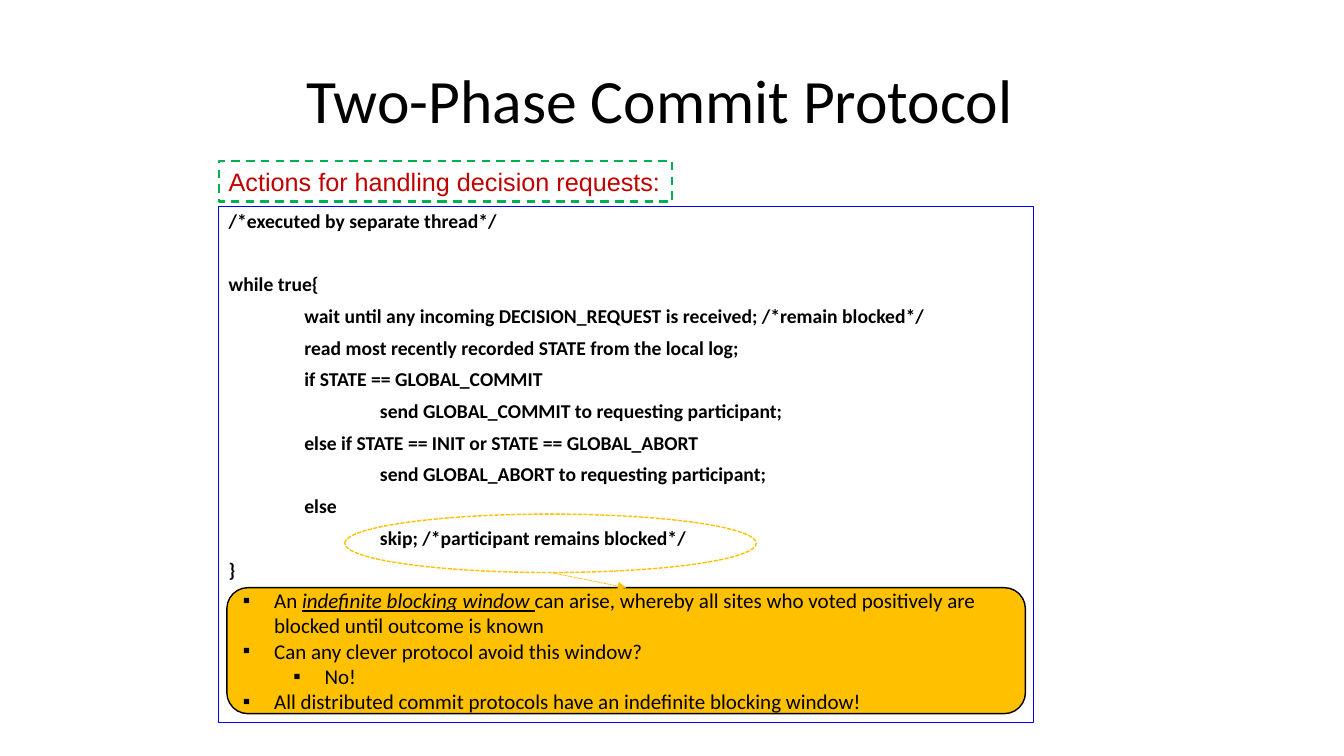
from lxml.etree import SubElement
from pptx import Presentation
from pptx.dml.color import RGBColor
from pptx.enum.dml import MSO_LINE
from pptx.enum.shapes import MSO_CONNECTOR, MSO_SHAPE
from pptx.enum.text import MSO_ANCHOR, PP_ALIGN
from pptx.oxml.ns import qn
from pptx.util import Inches, Pt

BLACK, BLUE, GREEN, RED, AMBER = "000000", "0000FF", "00B050", "C00000", "FFC000"
TAB = 0.75
CODE = [
    (0, "/*executed by separate thread*/"),
    (0, "while true{"),
    (1, "wait until any incoming DECISION_REQUEST is received; /*remain blocked*/"),
    (1, "read most recently recorded STATE from the local log;"),
    (1, "if STATE == GLOBAL_COMMIT"),
    (2, "send GLOBAL_COMMIT to requesting participant;"),
    (1, "else if STATE == INIT or STATE == GLOBAL_ABORT"),
    (2, "send GLOBAL_ABORT to requesting participant;"),
    (1, "else"),
    (2, "skip; /*participant remains blocked*/"),
    (0, "}"),
]
REMARKS = [
    (0, [("An ", False), ("indefinite blocking window ", True),
         ("can arise, whereby all sites who voted positively are blocked until outcome is known", False)]),
    (0, [("Can any clever protocol avoid this window?", False)]),
    (1, [("No!", False)]),
    (0, [("All distributed commit protocols have an indefinite blocking window!", False)]),
]


def color(value):
    return RGBColor.from_string(value)


class SlideBuilder:
    def __init__(self, deck):
        self.page = deck.slides.add_slide(deck.slide_layouts[6])
        self.font = "Calibri"

    def stroke(self, line, value, width, dash=None):
        line.color.rgb = color(value)
        line.width = Pt(width)
        if dash is not None:
            line.dash_style = dash

    def frame(self, box, anchor):
        frame = box.text_frame
        frame.word_wrap = True
        frame.vertical_anchor = anchor
        return frame

    def text_box(self, area, anchor):
        return self.frame(self.page.shapes.add_textbox(*map(Inches, area)), anchor)

    def shape(self, kind, area, line, width, dash=None, fill=None):
        box = self.page.shapes.add_shape(kind, *map(Inches, area))
        box.shadow.inherit = False
        if fill:
            box.fill.solid()
            box.fill.fore_color.rgb = color(fill)
        else:
            box.fill.background()
        self.stroke(box.line, line, width, dash)
        return box

    def paragraph(self, frame, index, align, spacing=1.0, before=0):
        para = frame.add_paragraph() if index else frame.paragraphs[0]
        para.alignment = align
        para.line_spacing = spacing
        para.space_before = Pt(before)
        return para

    def run(self, para, text, size, value=BLACK, font=None, bold=False, stressed=False):
        span = para.add_run()
        span.text = text
        span.font.size = Pt(size)
        span.font.name = font or self.font
        span.font.color.rgb = color(value)
        span.font.bold = bold
        span.font.italic = stressed
        span.font.underline = stressed

    def indent(self, para, left, hanging=0, bullet=None):
        properties = para._p.get_or_add_pPr()
        properties.set("marL", str(Inches(left)))
        properties.set("indent", str(-Inches(hanging)))
        if bullet:
            SubElement(properties, qn("a:buFont")).set("typeface", "Arial")
            SubElement(properties, qn("a:buChar")).set("char", bullet)

    def arrow(self, start, target, site, value, width, dash):
        connector = self.page.shapes.add_connector(
            MSO_CONNECTOR.STRAIGHT, *map(Inches, start), *map(Inches, start))
        connector.end_connect(target, site)
        self.stroke(connector.line, value, width, dash)
        SubElement(connector.line._get_or_add_ln(), qn("a:tailEnd")).set("type", "triangle")
        SubElement(connector._element.spPr, qn("a:effectLst"))


def main():
    deck = Presentation()
    deck.slide_width, deck.slide_height = Inches(13.33), Inches(7.5)
    slide = SlideBuilder(deck)

    title = slide.text_box((1.92, 0.3, 9.25, 1.45), MSO_ANCHOR.MIDDLE)
    para = slide.paragraph(title, 0, PP_ALIGN.CENTER, 0.9)
    slide.run(para, "Two-Phase Commit Protocol", 44)

    code_box = slide.shape(MSO_SHAPE.RECTANGLE, (2.17, 2.05, 8.08, 5.12), BLUE, 1)
    code = slide.frame(code_box, MSO_ANCHOR.TOP)
    for index, (level, text) in enumerate(CODE):
        before = 30 if index == 1 else 7.5
        para = slide.paragraph(code, index, PP_ALIGN.JUSTIFY, 0.9, before)
        slide.indent(para, level * TAB)
        slide.run(para, text, 14, bold=True)

    heading_box = slide.shape(MSO_SHAPE.RECTANGLE, (2.17, 1.6, 4.5, 0.4), GREEN, 1.5, MSO_LINE.DASH)
    heading = slide.frame(heading_box, MSO_ANCHOR.TOP)
    para = slide.paragraph(heading, 0, PP_ALIGN.LEFT)
    slide.run(para, "Actions for handling decision requests:", 18, RED, "Arial")

    slide.shape(MSO_SHAPE.OVAL, (3.42, 5.1, 4.08, 0.58), AMBER, 1, MSO_LINE.SQUARE_DOT)
    remark_box = slide.shape(MSO_SHAPE.ROUNDED_RECTANGLE, (2.25, 5.83, 7.92, 1.25), BLACK, 1, fill=AMBER)
    slide.arrow((5.46, 5.68), remark_box, 0, AMBER, 0.5, MSO_LINE.SQUARE_DOT)
    remarks = slide.frame(remark_box, MSO_ANCHOR.MIDDLE)
    for index, (level, parts) in enumerate(REMARKS):
        para = slide.paragraph(remarks, index, PP_ALIGN.LEFT)
        para.level = level
        slide.indent(para, 0.31 + level * 0.5, 0.31, "▪")
        for text, stressed in parts:
            slide.run(para, text, 15, stressed=stressed)

    deck.save("out.pptx")


if __name__ == "__main__":
    main()
